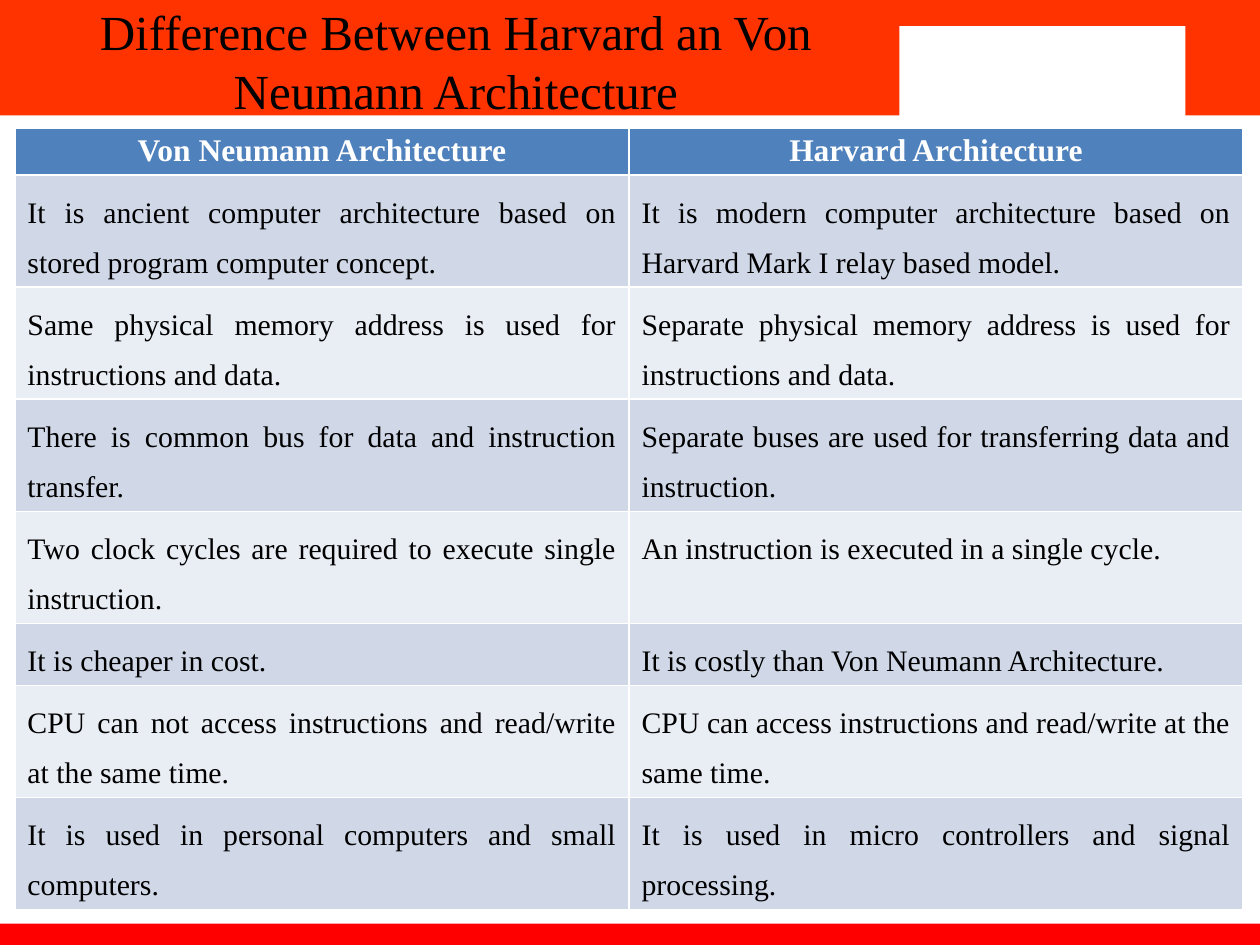
"""Build a slide that compares the Von Neumann and Harvard architectures."""
from pptx import Presentation
from pptx.dml.color import RGBColor
from pptx.enum.shapes import MSO_SHAPE
from pptx.enum.text import MSO_ANCHOR, MSO_AUTO_SIZE, PP_ALIGN
from pptx.util import Cm, Pt

RECTANGLE = MSO_SHAPE.RECTANGLE
MIDDLE = MSO_ANCHOR.MIDDLE
NO_AUTOFIT = MSO_AUTO_SIZE.NONE
CENTER, JUSTIFY = PP_ALIGN.CENTER, PP_ALIGN.JUSTIFY

TITLE = "Difference Between Harvard an Von Neumann Architecture"
HEADINGS = ("Von Neumann Architecture", "Harvard Architecture")
DIFFERENCES = [
    ("It is ancient computer architecture based on stored program computer concept.",
     "It is modern computer architecture based on Harvard Mark I relay based model."),
    ("Same physical memory address is used for instructions and data.",
     "Separate physical memory address is used for instructions and data."),
    ("There is common bus for data and instruction transfer.",
     "Separate buses are used for transferring data and instruction."),
    ("Two clock cycles are required to execute single instruction.",
     "An instruction is executed in a single cycle."),
    ("It is cheaper in cost.",
     "It is costly than Von Neumann Architecture."),
    ("CPU can not access instructions and read/write at the same time.",
     "CPU can access instructions and read/write at the same time."),
    ("It is used in personal computers and small computers.",
     "It is used in micro controllers and signal processing."),
]
THEME = {
    "font": "Times New Roman",
    "title_size": 28, "heading_size": 18, "body_size": 17,
    "black": "000000", "white": "FFFFFF",
    "banner": "FF3300", "footer": "FF0000",
    "heading_fill": "4F81BD", "bands": ("D0D8E8", "E9EDF4"),
}
PAGE_WIDTH, PAGE_HEIGHT = 25.4, 19.05
BANNER_HEIGHT, FOOTER_TOP = 2.33, 18.62
BARS = [
    ("banner", 0, 0, PAGE_WIDTH, BANNER_HEIGHT),
    ("white", 18.13, 0.53, 5.77, 1.9),
    ("footer", 0, FOOTER_TOP, PAGE_WIDTH, PAGE_HEIGHT - FOOTER_TOP),
]
TITLE_BOX = (0.2, 0.05, 17.98, BANNER_HEIGHT)
TABLE_LEFT, TABLE_TOP, TABLE_WIDTH = 0.3, 2.59, 24.76
HEADING_HEIGHT, ONE_LINE_HEIGHT, TWO_LINE_HEIGHT = 0.94, 1.25, 2.26
LINE_LENGTH = 45


def color(name):
    return RGBColor.from_string(THEME.get(name, name))


def style(para, size, ink, align, bold=False):
    para.alignment = align
    para.font.name = THEME["font"]
    para.font.size = Pt(THEME[size])
    para.font.bold = bold
    para.font.color.rgb = color(ink)


def add_bar(page, fill, *bounds):
    bar = page.shapes.add_shape(RECTANGLE, *map(Cm, bounds))
    bar.shadow.inherit = False
    bar.fill.solid()
    bar.fill.fore_color.rgb = color(fill)
    bar.line.fill.background()


def place_title(page):
    title = page.shapes.title
    title.element.getparent().append(title.element)
    title.left, title.top, title.width, title.height = map(Cm, TITLE_BOX)
    frame = title.text_frame
    frame.text = TITLE
    frame.word_wrap = True
    frame.auto_size = NO_AUTOFIT
    frame.vertical_anchor = MIDDLE
    style(frame.paragraphs[0], "title_size", "black", CENTER)


def fill_cell(cell, text, fill):
    cell.text = text
    cell.margin_top = cell.margin_bottom = Cm(0.1)
    cell.fill.solid()
    cell.fill.fore_color.rgb = color(fill)
    return cell.text_frame.paragraphs[0]


def row_height(texts):
    longest = max(map(len, texts))
    return TWO_LINE_HEIGHT if longest > LINE_LENGTH else ONE_LINE_HEIGHT


def add_comparison(page):
    heights = [HEADING_HEIGHT] + [row_height(texts) for texts in DIFFERENCES]
    bounds = (TABLE_LEFT, TABLE_TOP, TABLE_WIDTH, sum(heights))
    table = page.shapes.add_table(len(heights), len(HEADINGS), *map(Cm, bounds)).table
    for row, height in zip(table.rows, heights):
        row.height = Cm(height)
    for column, text in enumerate(HEADINGS):
        para = fill_cell(table.cell(0, column), text, "heading_fill")
        style(para, "heading_size", "white", CENTER, bold=True)
    for index, texts in enumerate(DIFFERENCES):
        band = THEME["bands"][index % 2]
        for column, text in enumerate(texts):
            para = fill_cell(table.cell(index + 1, column), text, band)
            para.line_spacing = 1.5
            style(para, "body_size", "black", JUSTIFY)


def main():
    deck = Presentation()
    deck.slide_width, deck.slide_height = Cm(PAGE_WIDTH), Cm(PAGE_HEIGHT)
    page = deck.slides.add_slide(deck.slide_layouts.get_by_name("Title Only"))
    for bar in BARS:
        add_bar(page, *bar)
    place_title(page)
    add_comparison(page)
    deck.save("out.pptx")


if __name__ == "__main__":
    main()
